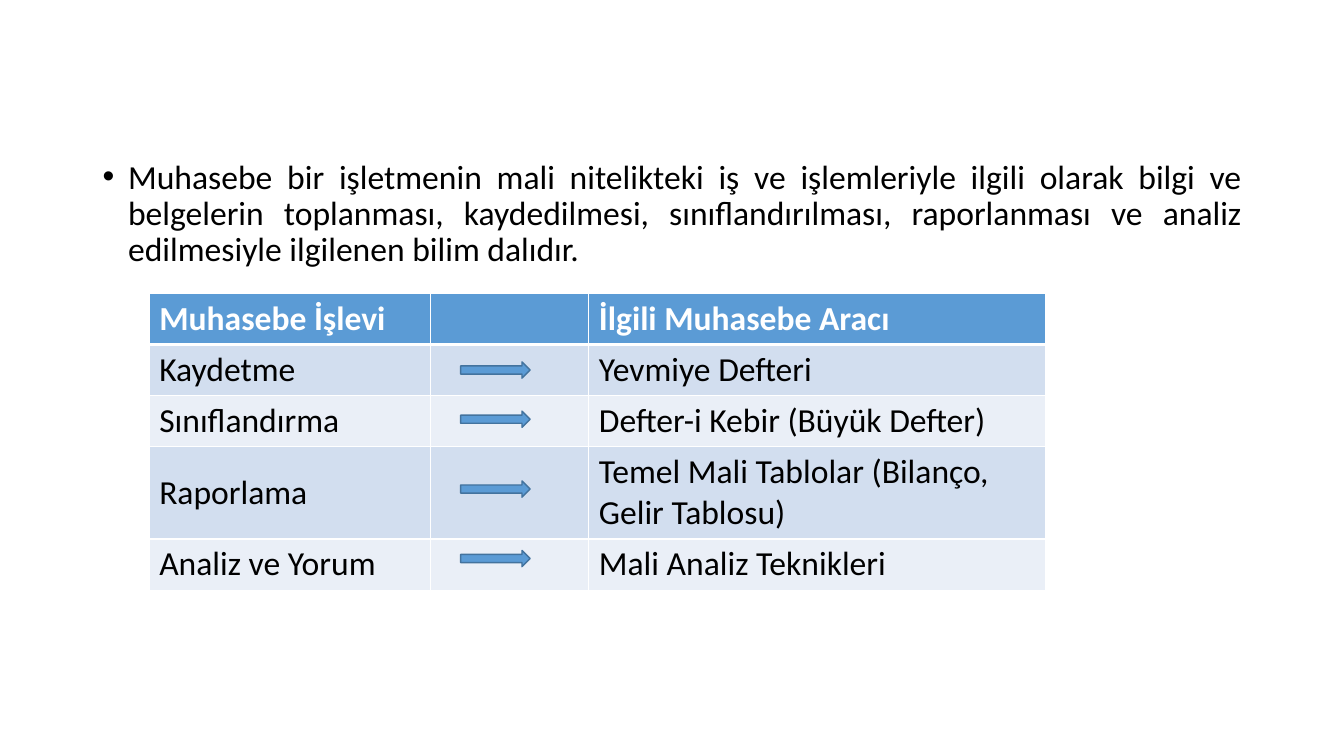
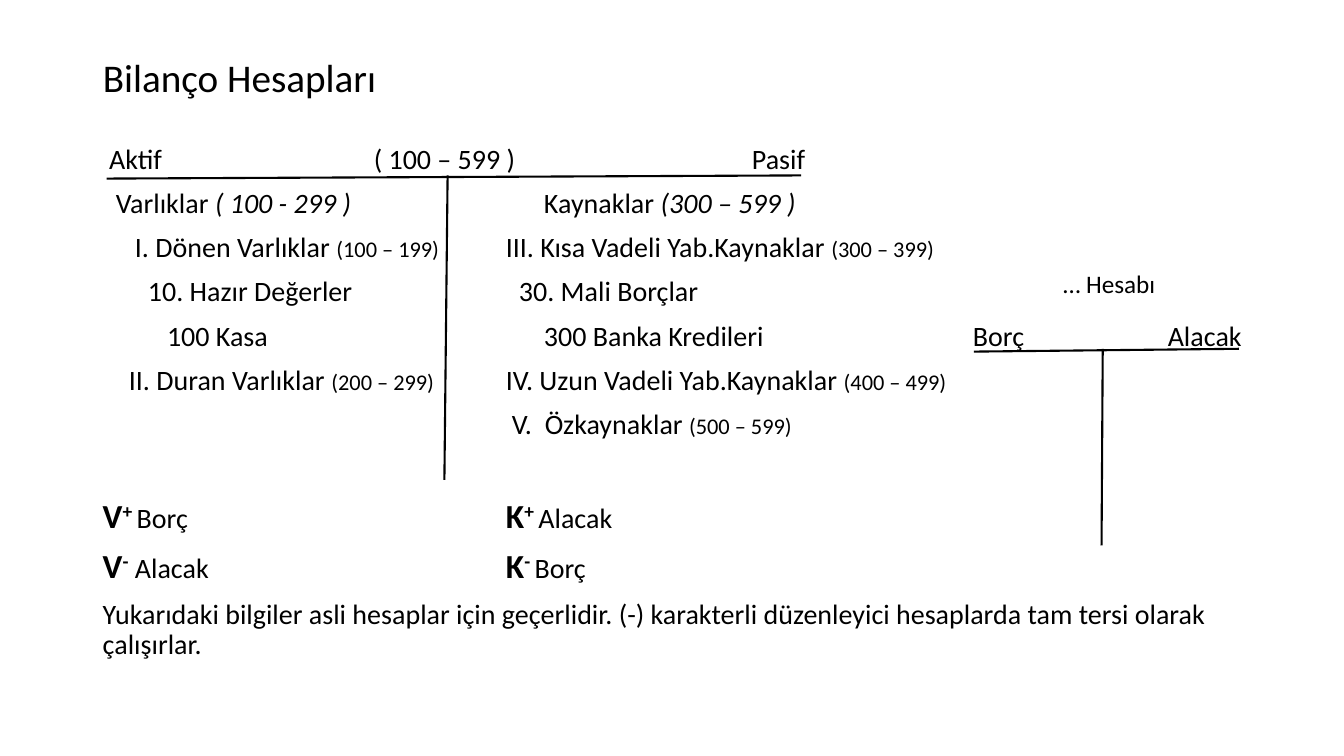
from dataclasses import dataclass

from lxml import etree
from pptx import Presentation
from pptx.dml.color import RGBColor
from pptx.enum import shapes, text
from pptx.oxml import ns
from pptx.util import Cm, Pt


@dataclass(frozen=True)
class Theme:
    font: str = "Calibri"
    ink: str = "000000"
    paper: str = "FFFFFF"
    accent: str = "5B9BD5"
    accent_edge: str = "43739E"
    bands: tuple = ("D2DEEF", "EAEFF7")
    title: int = 28
    large: int = 24
    body: int = 20
    label: int = 18
    small: int = 16


THEME = Theme()
LEFT, WIDTH = 2.34, 29.21

# Run styles
PLAIN = {}
ITALIC = {"italic": True}
SMALL = {"size": Pt(THEME.small)}
SIGN = {"size": Pt(THEME.large), "bold": True}
RAISED = {**SIGN, "baseline": 30}


def rgb(value):
    return RGBColor.from_string(value)


def add_child(parent, tag, **attributes):
    return etree.SubElement(parent, ns.qn(tag), attributes)


def style_font(font, size, color=THEME.ink, bold=None):
    font.name = THEME.font
    font.size = Pt(size)
    font.color.rgb = rgb(color)
    font.bold = bold


# Text
def add_text_box(slide, left, top, width, height, wrap=True):
    frame = slide.shapes.add_textbox(Cm(left), Cm(top), Cm(width), Cm(height)).text_frame
    frame.word_wrap = wrap
    return frame


def add_title(slide, wording):
    title = slide.shapes.title
    title.left, title.top, title.width, title.height = Cm(LEFT), Cm(1.02), Cm(WIDTH), Cm(1.98)
    frame = title.text_frame
    frame.text = wording
    frame.vertical_anchor = text.MSO_ANCHOR.MIDDLE
    paragraph = frame.paragraphs[0]
    paragraph.alignment = text.PP_ALIGN.LEFT
    paragraph.line_spacing = 0.9
    style_font(paragraph.font, THEME.title)


def add_bullet(frame, wording):
    paragraph = frame.paragraphs[0]
    paragraph.text = wording
    paragraph.alignment = text.PP_ALIGN.JUSTIFY
    paragraph.line_spacing = 0.9
    properties = paragraph._p.get_or_add_pPr()
    properties.set("marL", str(Cm(0.64)))
    properties.set("indent", str(-Cm(0.64)))
    add_child(properties, "a:buFont", typeface="Arial")
    add_child(properties, "a:buChar", char="•")
    style_font(paragraph.font, THEME.large)


def add_tabbed_line(paragraph, stops, runs, space_before):
    paragraph.line_spacing = 0.9
    paragraph.space_before = Pt(space_before)
    if stops:
        tabs = add_child(paragraph._p.get_or_add_pPr(), "a:tabLst")
        for stop in stops:
            add_child(tabs, "a:tab", pos=str(Cm(stop)), algn="l")
    style_font(paragraph.font, THEME.body)
    for wording, style in runs:
        run = paragraph.add_run()
        run.text = wording
        for name, value in style.items():
            if name == "baseline":
                run._r.get_or_add_rPr().set(name, str(value * 1000))
            else:
                setattr(run.font, name, value)


# Lines and arrows
def add_line(slide, start, end):
    line = slide.shapes.add_connector(
        shapes.MSO_CONNECTOR.STRAIGHT, *(Cm(value) for value in start + end))
    line.line.color.rgb = rgb(THEME.ink)
    line.line.width = Pt(1.5)
    add_child(line._element.spPr, "a:effectLst")


def add_t_account(slide, bar, stem):
    for start, end in (bar, stem):
        add_line(slide, start, end)


def add_arrow(slide, top):
    arrow = slide.shapes.add_shape(
        shapes.MSO_SHAPE.RIGHT_ARROW, Cm(11.61), Cm(top), Cm(1.75), Cm(0.41))
    arrow.shadow.inherit = False
    arrow.fill.solid()
    arrow.fill.fore_color.rgb = rgb(THEME.accent)
    arrow.line.color.rgb = rgb(THEME.accent_edge)
    arrow.line.width = Pt(1)


# Table
def style_cell(cell, fill, color, bold, edges):
    properties = cell._tc.get_or_add_tcPr()
    for side, width in edges.items():
        edge = add_child(properties, f"a:ln{side}", w=str(Pt(width)))
        add_child(add_child(edge, "a:solidFill"), "a:srgbClr", val=THEME.paper)
    cell.fill.solid()
    cell.fill.fore_color.rgb = rgb(fill)
    style_font(cell.text_frame.paragraphs[0].font, THEME.large, color, bold)


def add_table(slide, left, top, widths, heights, rows):
    table = slide.shapes.add_table(
        len(rows), len(widths), Cm(left), Cm(top), Cm(sum(widths)), Cm(sum(heights))).table
    for column, width in zip(table.columns, widths):
        column.width = Cm(width)
    for index, (row, height, wordings) in enumerate(zip(table.rows, heights, rows)):
        row.height = Cm(height)
        header = index == 0
        fill = THEME.accent if header else THEME.bands[(index - 1) % 2]
        color = THEME.paper if header else THEME.ink
        edges = {"L": 1, "R": 1, "T": 3 if index == 1 else 1, "B": 3 if header else 1}
        for cell, wording in zip(row.cells, wordings):
            cell.text = wording
            style_cell(cell, fill, color, header, edges)
        if not header:
            row.cells[0].vertical_anchor = text.MSO_ANCHOR.MIDDLE


# Slides
def build_functions_slide(presentation):
    slide = presentation.slides.add_slide(presentation.slide_layouts[6])
    add_bullet(
        add_text_box(slide, LEFT, 3.91, WIDTH, 3.2),
        "Muhasebe bir işletmenin mali nitelikteki iş ve işlemleriyle ilgili olarak bilgi ve "
        "belgelerin toplanması, kaydedilmesi, sınıflandırılması, raporlanması ve analiz "
        "edilmesiyle ilgilenen bilim dalıdır.")
    add_table(slide, 3.76, 7.39, (7.09, 3.99, 11.51), (1.29, 1.29, 1.29, 2.32, 1.29), (
        ("Muhasebe İşlevi", "", "İlgili Muhasebe Aracı"),
        ("Kaydetme", "", "Yevmiye Defteri"),
        ("Sınıflandırma", "", "Defter-i Kebir (Büyük Defter)"),
        ("Raporlama", "", "Temel Mali Tablolar (Bilanço, Gelir Tablosu)"),
        ("Analiz ve Yorum", "", "Mali Analiz Teknikleri"),
    ))
    for top in (9.12, 10.36, 12.12, 13.87):
        add_arrow(slide, top)


def build_accounts_slide(presentation):
    slide = presentation.slides.add_slide(presentation.slide_layouts[5])
    add_title(slide, "Bilanço Hesapları")

    # Account list: tab stops, runs, space before
    right = 10.16
    lines = (
        ((0.16, 6.83, 16.36), [("\tAktif\t( 100 – 599 )\tPasif", PLAIN)], 0),
        ((0.33, 11.12), [("\tVarlıklar ", PLAIN), ("( 100 - 299 )", ITALIC),
                         ("\tKaynaklar ", PLAIN), ("(300 – 599 )", ITALIC)], 10),
        ((0.81, right), [("\tI. Dönen Varlıklar ", PLAIN), ("(100 – 199)", SMALL),
                         ("\tIII. Kısa Vadeli Yab.Kaynaklar ", PLAIN),
                         ("(300 – 399)", SMALL)], 10),
        ((1.14, 10.49), [("\t10. Hazır Değerler\t30. Mali Borçlar", PLAIN)], 10),
        ((1.62, 11.12, 21.93, 26.84),
         [("\t100 Kasa\t300 Banka Kredileri\tBorç\tAlacak", PLAIN)], 10),
        ((0.66, right), [("\tII. Duran Varlıklar ", PLAIN), ("(200 – 299)", SMALL),
                         ("\tIV. Uzun Vadeli Yab.Kaynaklar ", PLAIN),
                         ("(400 – 499)", SMALL)], 10),
        ((10.31, 11.14), [("\tV.\tÖzkaynaklar ", PLAIN), ("(500 – 599)", SMALL)], 10),
        ((right,), [("V", SIGN), ("+ ", RAISED), ("Borç\t", PLAIN),
                    ("K", SIGN), ("+ ", RAISED), ("Alacak", PLAIN)], 42),
        ((right,), [("V", SIGN), ("-", RAISED), (" Alacak\t", PLAIN),
                    ("K", SIGN), ("- ", RAISED), ("Borç", PLAIN)], 10),
        ((), [("Yukarıdaki bilgiler asli hesaplar için geçerlidir. (-) karakterli düzenleyici "
               "hesaplarda tam tersi olarak çalışırlar.", PLAIN)], 10),
    )
    frame = add_text_box(slide, LEFT, 3.53, WIDTH, 13.64)
    for index, line in enumerate(lines):
        add_tabbed_line(frame.add_paragraph() if index else frame.paragraphs[0], *line)

    # T accounts
    add_t_account(slide, ((2.69, 4.5), (20.19, 4.42)), ((11.28, 4.42), (11.2, 12.09)))
    add_t_account(slide, ((24.54, 8.86), (31.22, 8.79)), ((27.79, 8.79), (27.76, 13.74)))
    label = add_text_box(slide, 26.54, 6.63, 2.87, 1.02, wrap=False).paragraphs[0]
    label.text = "… Hesabı"
    style_font(label.font, THEME.label)


def main():
    presentation = Presentation()
    presentation.slide_width, presentation.slide_height = Cm(33.87), Cm(19.05)
    build_functions_slide(presentation)
    build_accounts_slide(presentation)
    presentation.save("out.pptx")


if __name__ == "__main__":
    main()
